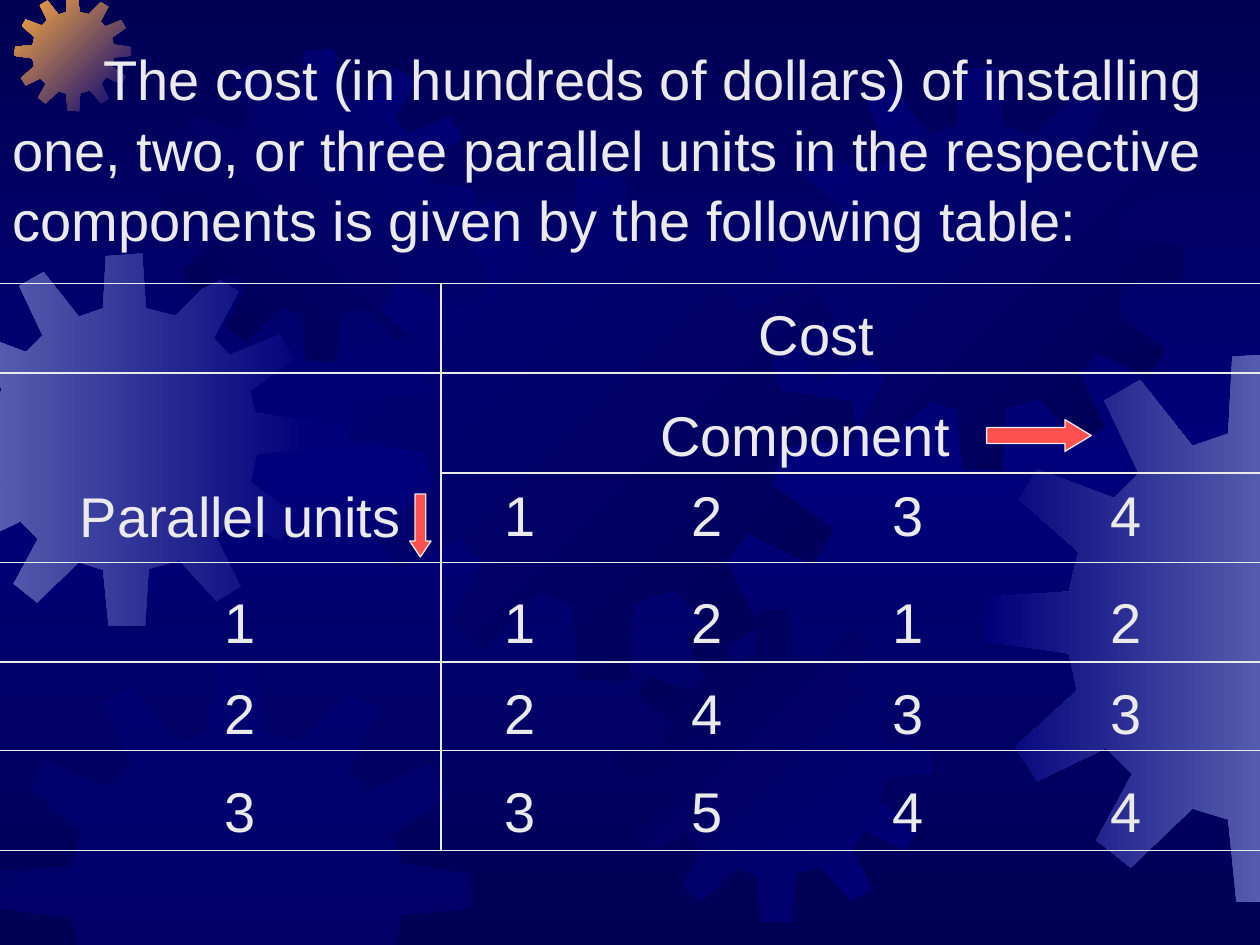
from copy import deepcopy

from lxml import etree
from pptx import Presentation
from pptx.dml.color import RGBColor
from pptx.enum.shapes import MSO_SHAPE
from pptx.enum.text import MSO_ANCHOR, PP_ALIGN
from pptx.oxml.ns import qn
from pptx.util import Cm, Pt

RIGHT_ARROW = MSO_SHAPE.RIGHT_ARROW
DOWN_ARROW = MSO_SHAPE.DOWN_ARROW
CENTER = PP_ALIGN.CENTER
TOP, BOTTOM = MSO_ANCHOR.TOP, MSO_ANCHOR.BOTTOM

SLIDE_WIDTH, SLIDE_HEIGHT = 25.4, 19.05
DARK, NAVY, PALE, ORANGE = "000054", "00007A", "555BAD", "FCAB40"
LIGHT, RED = "EAEAEA", "FF5050"
FONT, FONT_SIZE, LINE_WIDTH = "Arial", 32, 0.75
NO_STYLE = "{2D5ABB26-0587-4C30-8999-92F81FD0307C}"

INTRO = (
    "The cost (in hundreds of dollars) of installing one, two, or three parallel "
    "units in the respective components is given by the following table:"
)
ROWS = [
    ["", "Cost", "", "", ""],
    ["Parallel units", "Component", "", "", ""],
    ["", "1", "2", "3", "4"],
    ["1", "1", "2", "1", "2"],
    ["2", "2", "4", "3", "3"],
    ["3", "3", "5", "4", "4"],
]
TABLE_TOP = 5.72
COLUMN_WIDTHS = [8.89, 3.2, 4.32, 3.81, 5.18]
ROW_HEIGHTS = [1.8, 2.01, 1.8, 2.01, 1.77, 2.01]
TEXT_OFFSETS = [0.43, 0.66, 0.25, 0.61, 0.43, 0.63]
SIDE_MARGINS = {0: (0.8, 0), 4: (0, 0.2)}
HEADING_MARGINS = {"Cost": (0, 1.37), "Component": (0, 1.83)}
MERGES = [((0, 1), (0, 4)), ((1, 1), (1, 4)), ((1, 0), (2, 0))]

ARROWS = [
    (DOWN_ARROW, 8.26, 9.96, 0.43, 1.27, 0.75),
    (RIGHT_ARROW, 19.89, 8.46, 2.11, 0.64, 0.83),
]

GEAR_SPAN = 4.01
GEAR_OUTLINE = [
    (2.55, 0.67), (2.23, 0.59), (2.19, 0), (1.8, 0.03), (1.77, 0.59), (1.51, 0.68),
    (1.13, 0.2), (0.87, 0.35), (1.12, 0.88), (0.94, 1.06), (0.38, 0.85), (0.25, 1.07),
    (0.68, 1.45), (0.61, 1.74), (0.01, 1.78), (0, 2.1), (0.61, 2.19), (0.67, 2.46),
    (0.22, 2.87), (0.38, 3.12), (0.88, 2.88), (1.07, 3.07), (0.81, 3.55), (1.06, 3.75),
    (1.51, 3.32), (1.77, 3.4), (1.83, 4), (2.22, 4.01), (2.26, 3.39), (2.59, 3.3),
    (2.99, 3.74), (3.25, 3.58), (2.99, 3.06), (3.16, 2.84), (3.68, 3.09), (3.84, 2.81),
    (3.36, 2.46), (3.42, 2.16), (4.01, 2.1), (4, 1.8), (3.41, 1.71), (3.35, 1.48),
    (3.83, 1.14), (3.67, 0.87), (3.13, 1.09), (2.96, 0.91), (3.23, 0.41), (2.97, 0.25),
]
GEARS = [
    (-1.24, 5.11, 7.52, (NAVY, PALE), 180),
    (0.3, -0.1, 2.34, (NAVY, ORANGE), 135),
    (3.3, 0.99, 6.3, (NAVY, DARK), 225),
    (7.04, 3.53, 10.19, (DARK, NAVY), 135),
    (0, 13.34, 9.5, (NAVY,), 0),
    (12.47, 12.29, 6.3, (NAVY, DARK), 135),
    (15.7, 1.35, 8.13, (DARK, NAVY), 135),
    (19.86, 7.11, 11.1, (PALE, NAVY), 180),
]


def color(value):
    return RGBColor.from_string(value)


def style_paragraph(paragraph):
    for run in paragraph.runs:
        run.font.name = FONT
        run.font.size = Pt(FONT_SIZE)
        run.font.color.rgb = color(LIGHT)


def fill_gradient(fill, colors, angle):
    fill.gradient()
    fill.gradient_angle = angle
    for stop, value in zip(fill.gradient_stops, colors):
        stop.color.rgb = color(value)


def paint_background(slide):
    fill_gradient(slide.background.fill, (DARK, NAVY), 270)
    stops = slide.element.find(".//" + qn("a:gsLst"))
    stops[1].set("pos", "50000")
    last = deepcopy(stops[0])
    last.set("pos", "100000")
    stops.append(last)


def clip(points, axis, limit, sign):
    kept = []
    for index, end in enumerate(points):
        start = points[index - 1]
        before = sign * (start[axis] - limit)
        after = sign * (end[axis] - limit)
        if before * after < 0:
            share = before / (before - after)
            kept.append(tuple(a + share * (b - a) for a, b in zip(start, end)))
        if after >= 0:
            kept.append(end)
    return kept


def add_gear(slide, left, top, size, colors, angle):
    scale = size / GEAR_SPAN
    points = [(left + x * scale, top + y * scale) for x, y in GEAR_OUTLINE]
    for axis, limit in enumerate((SLIDE_WIDTH, SLIDE_HEIGHT)):
        points = clip(clip(points, axis, 0, 1), axis, limit, -1)
    points = [(Cm(x), Cm(y)) for x, y in points]
    builder = slide.shapes.build_freeform(*points[0])
    builder.add_line_segments(points[1:])
    gear = builder.convert_to_shape()
    gear.shadow.inherit = False
    gear.line.fill.background()
    if len(colors) > 1:
        fill_gradient(gear.fill, colors, angle)
    else:
        gear.fill.solid()
        gear.fill.fore_color.rgb = color(colors[0])
        rgb = gear.element.spPr.find(".//" + qn("a:srgbClr"))
        etree.SubElement(rgb, qn("a:alpha"), val="50000")


def add_intro(slide):
    box = slide.shapes.add_textbox(Cm(0), Cm(0.71), Cm(SLIDE_WIDTH), Cm(4.32))
    box.text_frame.word_wrap = True
    paragraph = box.text_frame.paragraphs[0]
    paragraph.text = INTRO
    paragraph.line_spacing = 1.05
    paragraph._p.get_or_add_pPr().set("indent", str(Cm(1.83)))
    style_paragraph(paragraph)


def set_borders(cell, visible):
    properties = cell._tc.get_or_add_tcPr()
    for side in ("lnL", "lnR", "lnT", "lnB"):
        line = etree.SubElement(properties, qn("a:" + side), w=str(Pt(LINE_WIDTH)))
        if side in visible:
            fill = etree.SubElement(line, qn("a:solidFill"))
            etree.SubElement(fill, qn("a:srgbClr"), val=LIGHT)
        else:
            etree.SubElement(line, qn("a:noFill"))


def add_cost_table(slide):
    frame = slide.shapes.add_table(
        len(ROWS), len(COLUMN_WIDTHS), Cm(0), Cm(TABLE_TOP),
        Cm(SLIDE_WIDTH), Cm(sum(ROW_HEIGHTS)),
    )
    table = frame.table
    table.first_row = table.horz_banding = False
    table._tbl.tblPr.find(qn("a:tableStyleId")).text = NO_STYLE
    for column, width in zip(table.columns, COLUMN_WIDTHS):
        column.width = Cm(width)
    for row, height in zip(table.rows, ROW_HEIGHTS):
        row.height = Cm(height)
    for first, last in MERGES:
        table.cell(*first).merge(table.cell(*last))
    for r, texts in enumerate(ROWS):
        for c, text in enumerate(texts):
            cell = table.cell(r, c)
            visible = {"lnT", "lnB", "lnR" if c == 0 else "lnL" if c == 1 else ""}
            if c == 0 and r in (1, 2):
                visible.discard("lnB" if r == 1 else "lnT")
            set_borders(cell, visible)
            cell.fill.background()
            if not text:
                continue
            left, right = HEADING_MARGINS.get(text, SIDE_MARGINS.get(c, (0, 0)))
            cell.margin_left, cell.margin_right = Cm(left), Cm(right)
            spans_down = cell.is_merge_origin and c == 0
            cell.vertical_anchor = BOTTOM if spans_down else TOP
            cell.margin_top = Cm(0 if spans_down else TEXT_OFFSETS[r])
            cell.margin_bottom = Cm(0.25 if spans_down else 0)
            cell.text_frame.text = text
            paragraph = cell.text_frame.paragraphs[0]
            paragraph.alignment = CENTER
            style_paragraph(paragraph)


def add_arrow(slide, kind, left, top, width, height, head):
    arrow = slide.shapes.add_shape(kind, Cm(left), Cm(top), Cm(width), Cm(height))
    arrow.adjustments[0] = 0.5
    arrow.adjustments[1] = head
    arrow.shadow.inherit = False
    arrow.fill.solid()
    arrow.fill.fore_color.rgb = color(RED)
    arrow.line.color.rgb = color(LIGHT)
    arrow.line.width = Pt(LINE_WIDTH)


def main():
    presentation = Presentation()
    presentation.slide_width = Cm(SLIDE_WIDTH)
    presentation.slide_height = Cm(SLIDE_HEIGHT)
    slide = presentation.slides.add_slide(presentation.slide_layouts[6])
    paint_background(slide)
    for gear in GEARS:
        add_gear(slide, *gear)
    add_intro(slide)
    add_cost_table(slide)
    for arrow in ARROWS:
        add_arrow(slide, *arrow)
    presentation.save("out.pptx")


if __name__ == "__main__":
    main()
